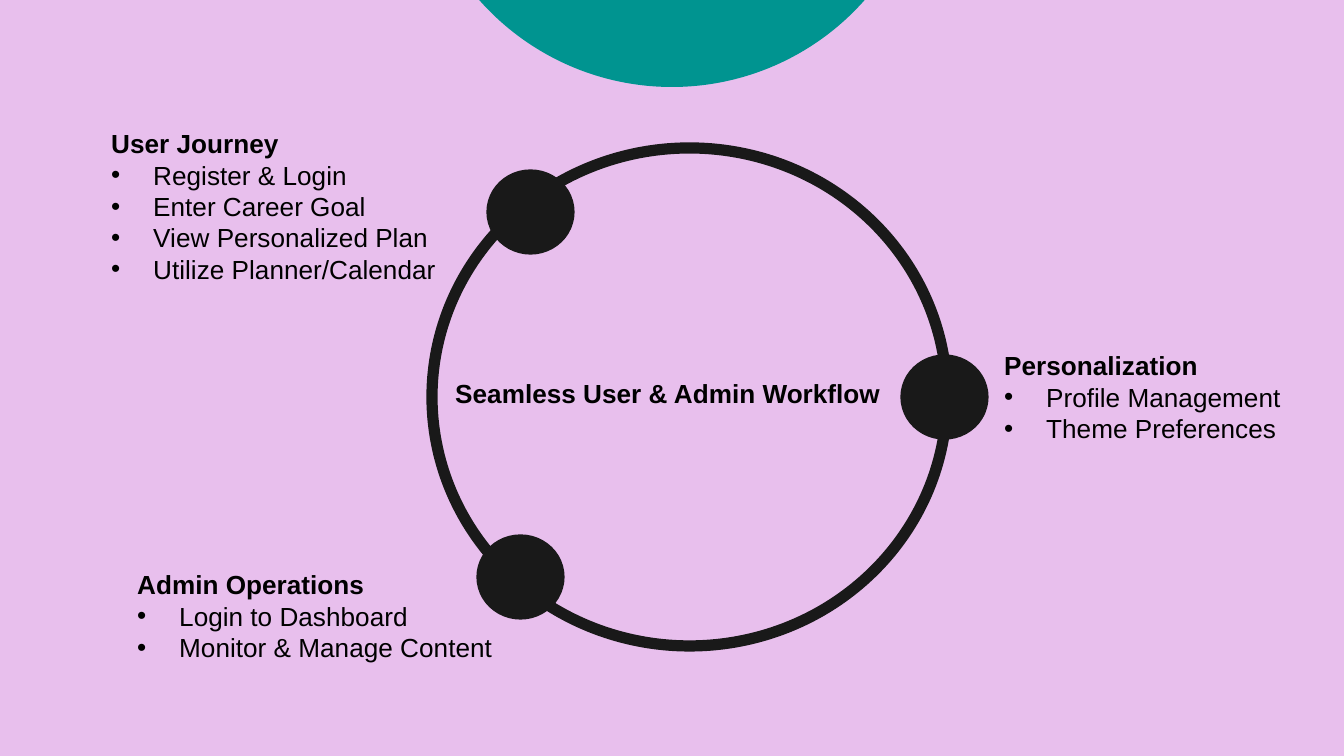
from dataclasses import dataclass

from lxml import etree
from pptx import Presentation
from pptx.dml.color import RGBColor
from pptx.enum.shapes import MSO_SHAPE
from pptx.enum.text import MSO_AUTO_SIZE
from pptx.oxml.ns import qn
from pptx.util import Pt

OVAL = MSO_SHAPE.OVAL
GROW = MSO_AUTO_SIZE.SHAPE_TO_FIT_TEXT
SCALE = 914400 / 134.4


@dataclass(frozen=True)
class Theme:
    back: str = "E8BFED"
    teal: str = "009490"
    dark: str = "191919"
    ink: str = "000000"
    font: str = "Arial"
    size: int = 14
    line: int = 6


THEME = Theme()
INDENT = 42
DOT = (77, 74)
DOTS = [(492, 175), (906, 360), (482, 540)]
NOTES = [
    ((98, 121, 353, 203), "User Journey",
     ["Register & Login", "Enter Career Goal",
      "View Personalized Plan", "Utilize Planner/Calendar"]),
    ((991, 343, 336, 140), "Personalization",
     ["Profile Management", "Theme Preferences"]),
    ((124, 562, 384, 140), "Admin Operations",
     ["Login to Dashboard", "Monitor & Manage Content"]),
    ((442, 371, 495, 77), "Seamless User & Admin Workflow", []),
]


def px(n):
    return round(n * SCALE)


def rgb(code):
    return RGBColor.from_string(code)


def add_oval(slide, box, fill=None, line=None):
    oval = slide.shapes.add_shape(OVAL, *map(px, box))
    oval.shadow.inherit = False
    if fill:
        oval.fill.solid()
        oval.fill.fore_color.rgb = rgb(fill)
    else:
        oval.fill.background()
    if line:
        oval.line.color.rgb = rgb(line)
        oval.line.width = Pt(THEME.line)
    else:
        oval.line.fill.background()


def add_bullet(para):
    props = para._p.get_or_add_pPr()
    props.set("marL", str(px(INDENT)))
    props.set("indent", str(-px(INDENT)))
    color = etree.SubElement(props, qn("a:buClr"))
    etree.SubElement(color, qn("a:srgbClr"), val=THEME.ink)
    font = etree.SubElement(props, qn("a:buFont"))
    font.set("typeface", THEME.font)
    etree.SubElement(props, qn("a:buChar"), char="•")


def set_text(para, text, bold):
    para.text = text
    font = para.font
    font.name = THEME.font
    font.size = Pt(THEME.size)
    font.bold = bold
    font.color.rgb = rgb(THEME.ink)


def add_note(slide, box, title, items):
    """Add a bold title with a bulleted list below it."""
    frame = slide.shapes.add_textbox(*map(px, box)).text_frame
    frame.word_wrap = True
    frame.auto_size = GROW
    set_text(frame.paragraphs[0], title, True)
    for item in items:
        para = frame.add_paragraph()
        add_bullet(para)
        set_text(para, item, False)


def main():
    deck = Presentation()
    deck.slide_width, deck.slide_height = px(1344), px(756)
    slide = deck.slides.add_slide(deck.slide_layouts[6])
    slide.background.fill.solid()
    slide.background.fill.fore_color.rgb = rgb(THEME.back)

    add_oval(slide, (415, -427, 514, 514), fill=THEME.teal)
    add_oval(slide, (432, 148, 515, 498), line=THEME.dark)
    for spot in DOTS:
        add_oval(slide, spot + DOT, THEME.dark, THEME.dark)
    for box, title, items in NOTES:
        add_note(slide, box, title, items)

    deck.save("out.pptx")


if __name__ == "__main__":
    main()
